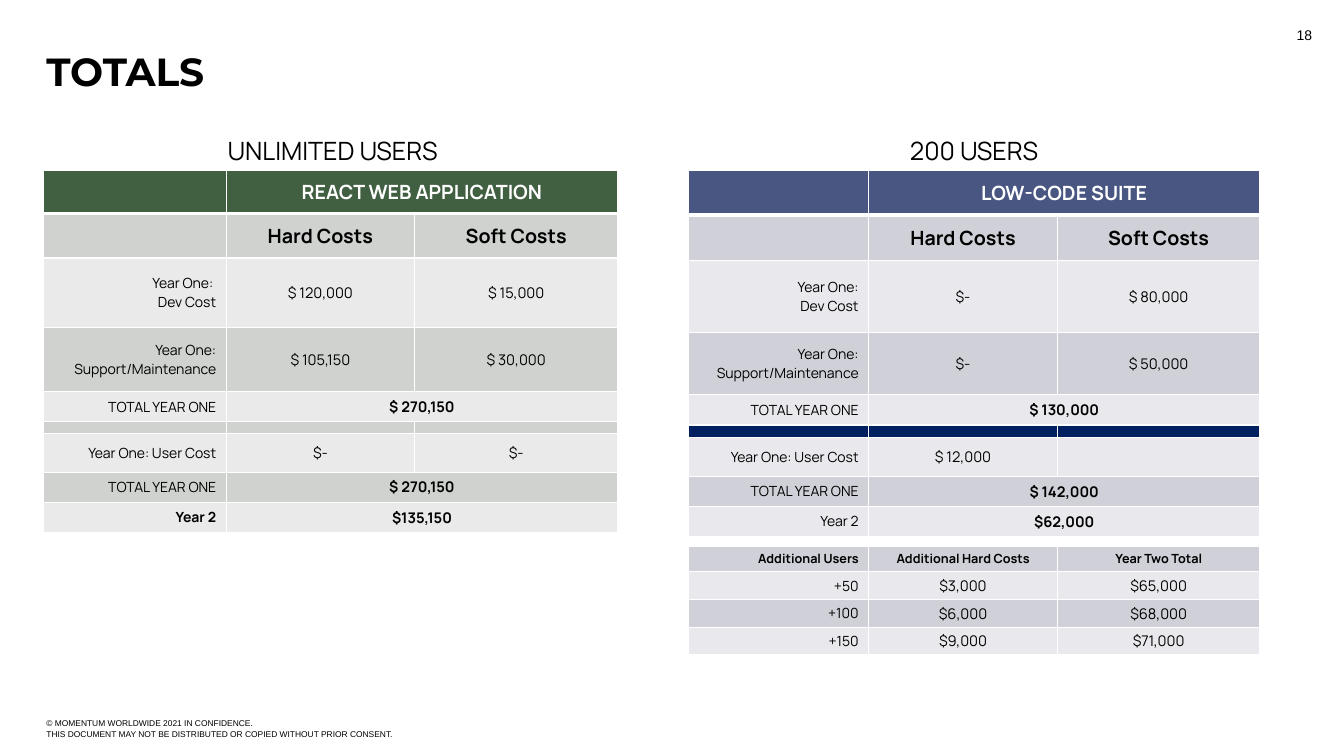
from lxml.etree import SubElement
from pptx import Presentation
from pptx.dml.color import RGBColor
from pptx.enum.text import MSO_ANCHOR, PP_ALIGN
from pptx.oxml.ns import qn
from pptx.util import Cm, Pt

BLACK = RGBColor(0x00, 0x00, 0x00)
WHITE = RGBColor(0xFF, 0xFF, 0xFF)
GREEN = RGBColor(0x41, 0x60, 0x42)
GREEN_STRIPES = (RGBColor(0xCF, 0xD2, 0xCF), RGBColor(0xE9, 0xEA, 0xE9))
BLUE = RGBColor(0x49, 0x56, 0x82)
BLUE_STRIPES = (RGBColor(0xD0, 0xD1, 0xD8), RGBColor(0xE9, 0xE9, 0xED))
NAVY = RGBColor(0x00, 0x20, 0x60)
LEFT, CENTER, RIGHT = PP_ALIGN.LEFT, PP_ALIGN.CENTER, PP_ALIGN.RIGHT


def write(frame, text, size, font="Manrope", color=BLACK, bold=False, align=LEFT):
    """Fill the first paragraph of a frame, one run per line, and return it."""
    para = frame.paragraphs[0]
    para.alignment = align
    for number, line in enumerate(text.split("\n")):
        if number:
            para.add_line_break()
        span = para.add_run()
        span.text = line
        span.font.name = font
        span.font.size = Pt(size)
        span.font.bold = bold
        span.font.color.rgb = color
    return para


def add_cost_table(left, top, widths, heights, rows, stripes, header=None, bold_labels=()):
    """Rows hold (label, value, value); a row with two items merges its value cells."""
    table = page.shapes.add_table(len(rows), 3, Cm(left), Cm(top),
                                  Cm(sum(widths)), Cm(sum(heights))).table
    for column, width in zip(table.columns, widths):
        column.width = Cm(width)
    for r, (texts, height) in enumerate(zip(rows, heights)):
        table.rows[r].height = Cm(height)
        is_header = header is not None and r == 0
        stripe = r - 1 if header is not None else r
        merged = len(texts) == 2
        for c in range(3):
            cell = table.cell(r, c)
            cell.margin_top = cell.margin_bottom = 0
            cell.vertical_anchor = MSO_ANCHOR.MIDDLE
            for side in ("a:lnL", "a:lnR", "a:lnT", "a:lnB"):
                thick = is_header and side == "a:lnB" or header is not None and r == 1 and side == "a:lnT"
                line = SubElement(cell._tc.get_or_add_tcPr(), qn(side), w=str(Pt(3 if thick else 1)))
                SubElement(SubElement(line, qn("a:solidFill")), qn("a:srgbClr"), val=str(WHITE))
            cell.fill.solid()
            cell.fill.fore_color.rgb = header if is_header else stripes[stripe % 2]
            text = texts[c] if c < len(texts) else ""
            if not text:
                cell.text_frame.paragraphs[0].font.size = Pt(1)
                continue
            size = 10 if c == 0 else 10.5
            if header is not None and r < 2:
                size = 14
            elif header is None and r == 0:
                size = 9
            bold = size in (9, 14) or (merged and c == 1) or text in bold_labels
            write(cell.text_frame, text, size, color=WHITE if is_header else BLACK,
                  bold=bold, align=CENTER if c else RIGHT)
        if merged:
            table.cell(r, 1).merge(table.cell(r, 2))
    return table


deck = Presentation()
deck.slide_width, deck.slide_height = Cm(33.87), Cm(19.05)
page = deck.slides.add_slide(deck.slide_layouts[6])

# left, top, width, height, text, size, font, bold, align, anchor, inset, line spacing
texts = [
    (1.17, 17.68, 10.19, 1.32,
     "© MOMENTUM WORLDWIDE 2021 IN CONFIDENCE.\n"
     "THIS DOCUMENT MAY NOT BE DISTRIBUTED OR COPIED WITHOUT PRIOR CONSENT.",
     6, "Arial", False, LEFT, MSO_ANCHOR.MIDDLE, False, 1.15),
    (1.17, 1.37, 31.55, 2.54, "TOTALS", 28, "Montserrat", True, LEFT, MSO_ANCHOR.TOP, False, 0.85),
    (25.7, 0.38, 7.62, 1.02, "18", 10, "Arial", False, RIGHT, MSO_ANCHOR.MIDDLE, True, 1),
    (1.17, 3.28, 14.43, 1.02, "UNLIMITED USERS", 18, "Manrope", False, CENTER, MSO_ANCHOR.TOP, True, 1),
    (17.35, 3.28, 14.4, 1.02, "200 USERS", 18, "Manrope", False, CENTER, MSO_ANCHOR.TOP, True, 1),
]
for left, top, width, height, text, size, font, bold, align, anchor, inset, spacing in texts:
    frame = page.shapes.add_textbox(Cm(left), Cm(top), Cm(width), Cm(height)).text_frame
    frame.word_wrap = True
    frame.vertical_anchor = anchor
    if not inset:
        frame.margin_left = frame.margin_right = frame.margin_top = frame.margin_bottom = 0
    write(frame, text, size, font, bold=bold, align=align).line_spacing = spacing

add_cost_table(
    1.1, 4.3, (4.6, 4.75, 5.12), (1.08, 1.12, 1.76, 1.61, 0.76, 0.29, 0.98, 0.76, 0.76),
    [("", "REACT WEB APPLICATION"),
     ("", "Hard Costs", "Soft Costs"),
     ("Year One: \nDev Cost", "$ 120,000", "$ 15,000"),
     ("Year One: Support/Maintenance", "$ 105,150", "$ 30,000"),
     ("TOTAL YEAR ONE", "$ 270,150"),
     ("", "", ""),
     ("Year One: User Cost", "$-", "$-"),
     ("TOTAL YEAR ONE", "$ 270,150"),
     ("Year 2", "$135,150")],
    GREEN_STRIPES, GREEN, bold_labels=("Year 2",))

BLUE_WIDTHS = (4.54, 4.76, 5.1)
platform = add_cost_table(
    17.35, 4.3, BLUE_WIDTHS, (1.12, 1.14, 1.82, 1.57, 0.76, 0.31, 0.99, 0.76, 0.75),
    [("", "LOW-CODE SUITE"),
     ("", "Hard Costs", "Soft Costs"),
     ("Year One:\nDev Cost", "$-", "$ 80,000"),
     ("Year One: Support/Maintenance", "$-", "$ 50,000"),
     ("TOTAL YEAR ONE", "$ 130,000"),
     ("", "", ""),
     ("Year One: User Cost", "$ 12,000", ""),
     ("TOTAL YEAR ONE", "$ 142,000"),
     ("Year 2", "$62,000")],
    BLUE_STRIPES, BLUE)
for divider in platform.rows[5].cells:
    divider.fill.fore_color.rgb = NAVY

add_cost_table(
    17.35, 13.76, BLUE_WIDTHS, (0.65, 0.7, 0.7, 0.7),
    [("Additional Users", "Additional Hard Costs", "Year Two Total"),
     ("+50", "$3,000", "$65,000"),
     ("+100", "$6,000", "$68,000"),
     ("+150", "$9,000", "$71,000")],
    BLUE_STRIPES)

deck.save("out.pptx")
